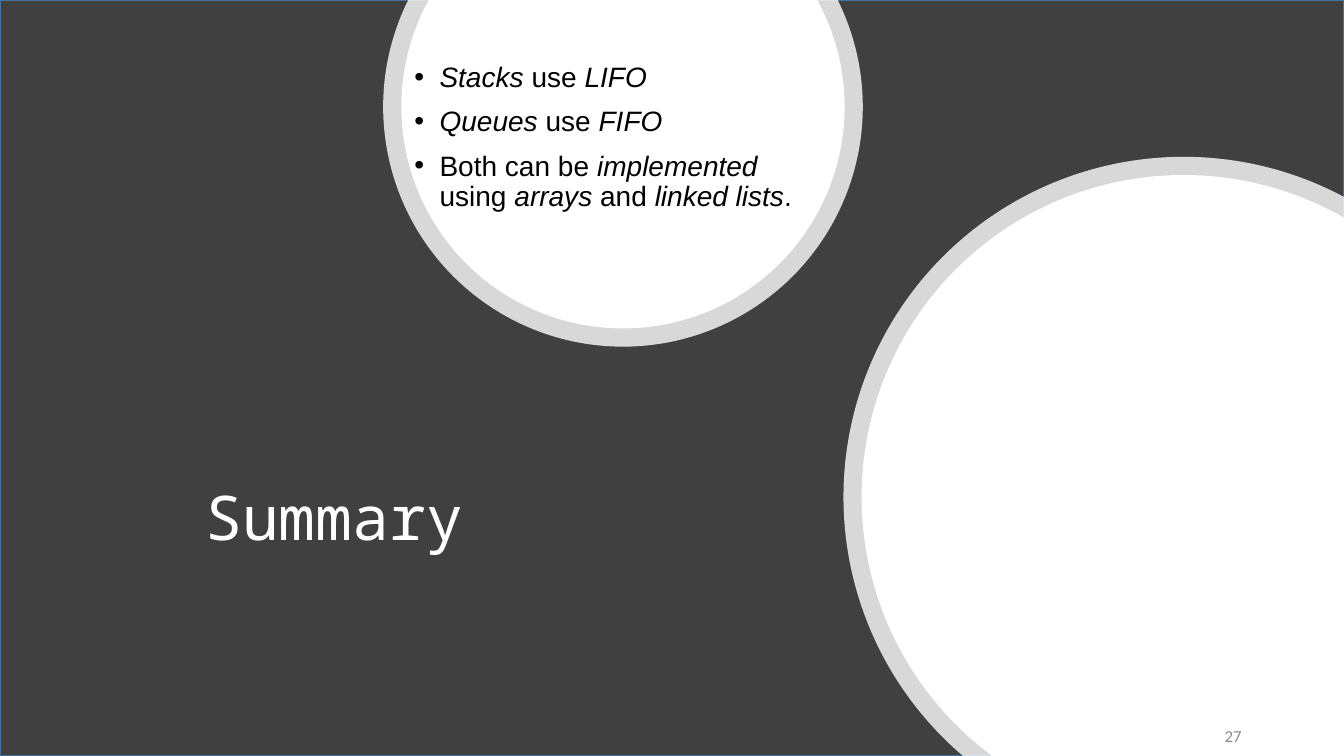
import math

from lxml import etree
from pptx import Presentation
from pptx.dml.color import RGBColor
from pptx.enum import shapes, text
from pptx.oxml import ns
from pptx.util import Pt

WIDTH, HEIGHT = 960, 540
RING_WIDTH = 13
COLORS = {
    "backdrop": "404040",
    "border": "43739E",
    "white": "FFFFFF",
    "body": "000000",
    "number": "8B8B8B",
}
# Each point is a list of (words, italic) pairs.
POINTS = [
    [("Stacks", True), (" use ", False), ("LIFO", True)],
    [("Queues", True), (" use ", False), ("FIFO", True)],
    [("Both can be ", False), ("implemented ", True), ("using ", False),
     ("arrays", True), (" and ", False), ("linked lists", True), (".", False)],
]


def color(name):
    return RGBColor.from_string(COLORS[name])


def place(shape, box):
    shape.left, shape.top, shape.width, shape.height = map(Pt, box)


def style(paragraph, face, size, color_name):
    paragraph.font.name = face
    paragraph.font.size = Pt(size)
    paragraph.font.color.rgb = color(color_name)


def prepare_frame(shape, margin_x=0, margin_y=0):
    frame = shape.text_frame
    frame.word_wrap = True
    frame.auto_size = text.MSO_AUTO_SIZE.NONE
    frame.vertical_anchor = text.MSO_ANCHOR.MIDDLE
    frame.margin_left = frame.margin_right = Pt(margin_x)
    frame.margin_top = frame.margin_bottom = Pt(margin_y)
    return frame


def add_backdrop(slide, box):
    backdrop = slide.shapes.add_shape(shapes.MSO_SHAPE.RECTANGLE, *map(Pt, box))
    backdrop.shadow.inherit = False
    backdrop.fill.solid()
    backdrop.fill.fore_color.rgb = color("backdrop")
    backdrop.line.color.rgb = color("border")
    backdrop.line.width = Pt(2)
    # The title placeholder already exists, so the backdrop goes behind it.
    slide.shapes.title._element.addprevious(backdrop._element)


def add_disc(slide, center, radius, angles, corners, opacity):
    """Add a white disc: arcs through the clockwise angles, then straight lines."""
    rim = [(center[0] + radius * math.cos(math.radians(angle)),
            center[1] + radius * math.sin(math.radians(angle))) for angle in angles]
    outline = [(Pt(x), Pt(y)) for x, y in rim + corners]
    builder = slide.shapes.build_freeform(*outline[0])
    builder.add_line_segments(outline[1:], close=True)
    disc = builder.convert_to_shape()
    disc.shadow.inherit = False
    disc.fill.solid()
    disc.fill.fore_color.rgb = color("white")
    disc.line.fill.background()

    segments = list(disc._element.spPr.iter(ns.qn("a:lnTo")))
    for segment, start, end in zip(segments, angles, angles[1:]):
        arc = etree.Element(
            ns.qn("a:arcTo"), wR=str(Pt(radius)), hR=str(Pt(radius)),
            stAng=str(round(start % 360 * 60000)),
            swAng=str(round((end - start) * 60000)))
        segment.getparent().replace(segment, arc)
    if opacity < 100:
        fill = disc._element.spPr.find(ns.qn("a:solidFill"))
        etree.SubElement(fill[0], ns.qn("a:alpha"), val=str(opacity * 1000))


def add_top_disc(slide, center, radius, opacity=100):
    """Add a disc cut off by the top edge."""
    rise = math.degrees(math.asin(center[1] / radius))
    add_disc(slide, center, radius, [-rise, 0, 90, 180, 180 + rise], [], opacity)


def add_corner_disc(slide, center, radius, opacity=100):
    """Add a disc cut off by the right and bottom edges."""
    bottom = 180 - math.degrees(math.asin((HEIGHT - center[1]) / radius))
    right = 360 - math.degrees(math.acos((WIDTH - center[0]) / radius))
    add_disc(slide, center, radius, [bottom, 180, 270, right],
             [(WIDTH, HEIGHT)], opacity)


def add_ringed_disc(slide, add_cut_disc, center, radius):
    add_cut_disc(slide, center, radius, opacity=80)
    add_cut_disc(slide, center, radius - RING_WIDTH)


def set_title(slide, box):
    title = slide.shapes.title
    place(title, box)
    heading = prepare_frame(title).paragraphs[0]
    heading.text = "Summary"
    heading.alignment = text.PP_ALIGN.CENTER
    heading.line_spacing = 0.9
    style(heading, "Noto Sans Mono", 44, "white")


def add_points(slide, box):
    frame = prepare_frame(slide.shapes.add_textbox(*map(Pt, box)))
    for index, point in enumerate(POINTS):
        paragraph = frame.add_paragraph() if index else frame.paragraphs[0]
        paragraph.line_spacing = 0.9
        if index:
            paragraph.space_before = Pt(10)
        properties = paragraph._p.get_or_add_pPr()
        properties.set("marL", str(Pt(18)))
        properties.set("indent", str(-Pt(18)))
        etree.SubElement(properties, ns.qn("a:buFont"), typeface="Arial")
        etree.SubElement(properties, ns.qn("a:buChar"), char="•")
        style(paragraph, "Arial", 20, "body")
        for words, italic in point:
            run = paragraph.add_run()
            run.text = words
            run.font.italic = italic


def add_slide_number(slide, box):
    frame = prepare_frame(slide.shapes.add_textbox(*map(Pt, box)), 7.2, 3.6)
    number = frame.paragraphs[0]
    number.text = "27"
    number.alignment = text.PP_ALIGN.RIGHT
    number.space_after = Pt(6)
    style(number, "Calibri", 12, "number")


def add_summary_slide(deck):
    slide = deck.slides.add_slide(deck.slide_layouts[5])
    add_backdrop(slide, (0, 0, WIDTH, HEIGHT))
    set_title(slide, (60.5, 276, 357, 191))
    add_ringed_disc(slide, add_top_disc, (445, 76.3), 171.3)
    add_ringed_disc(slide, add_corner_disc, (845.5, 355), 243)
    add_points(slide, (296, 28, 294, 141))
    add_slide_number(slide, (678, 511, 216, 29))


def main():
    deck = Presentation()
    deck.slide_width, deck.slide_height = Pt(WIDTH), Pt(HEIGHT)
    add_summary_slide(deck)
    deck.save("out.pptx")


if __name__ == "__main__":
    main()
